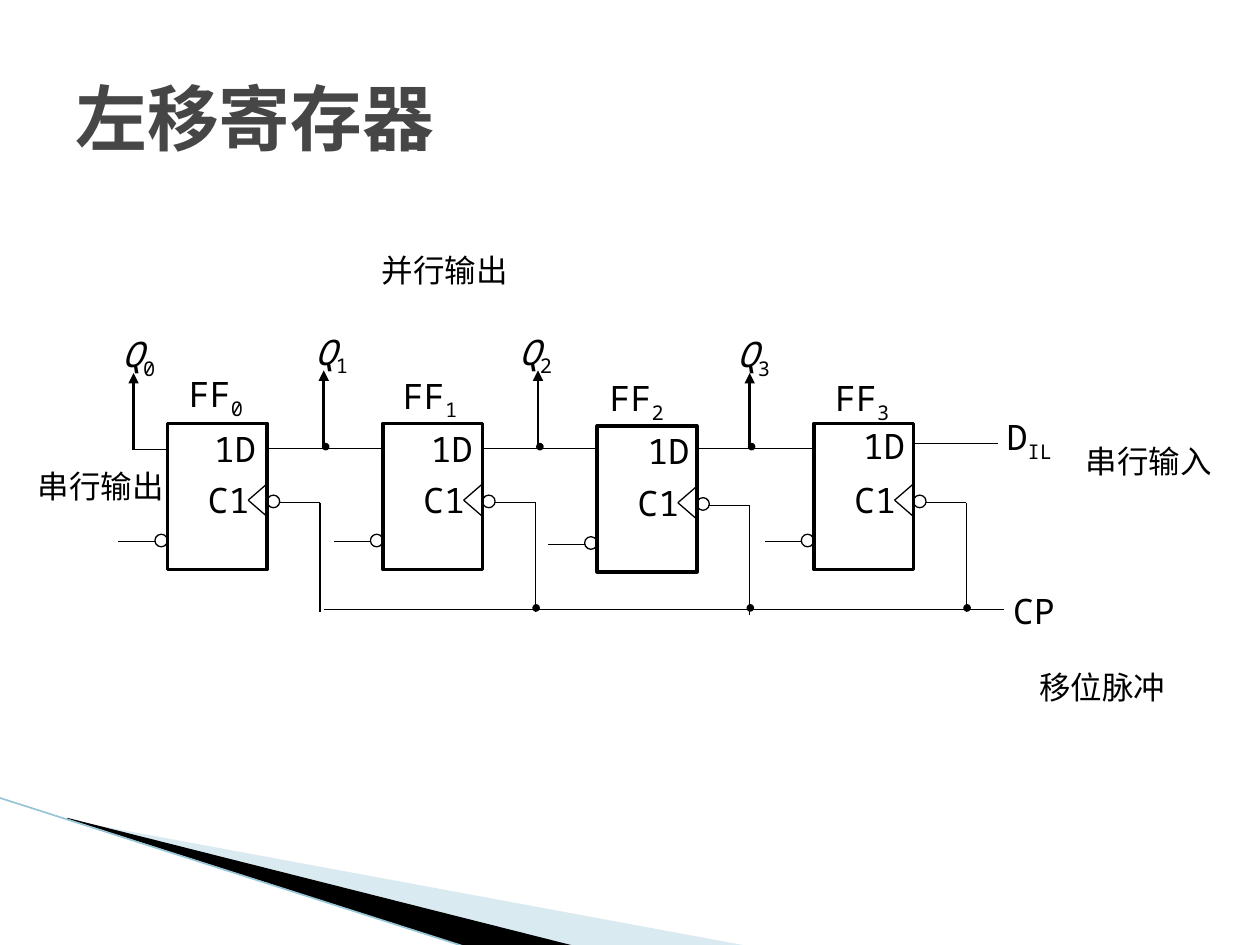
from dataclasses import dataclass

import pptx
import pptx.dml.color
import pptx.enum.shapes
import pptx.enum.text
import pptx.util
from lxml import etree
from pptx.oxml.ns import qn
from pptx.util import Inches

FONT = "Noto Sans Mono"
BLACK = "000000"
WIDE, HIGH = 0.79, 1.16  # flip-flop body
BUB = 0.1  # inverting bubble
DOT = 0.05  # wire junction
DATA, CLOCK = 3.56, 4.84  # heights of the data and clock wires

Point = tuple[float, float]
SHAPE = pptx.enum.shapes.MSO_SHAPE
ALIGN = pptx.enum.text.PP_ALIGN


@dataclass
class Run:
    text: str
    size: float = 20
    color: str = BLACK
    bold: bool = False
    slant: bool = False
    sub: bool = False


@dataclass
class Stage:
    """One flip-flop: body corner, label places, output arrow."""
    left: float
    top: float
    name: Point
    data: Point
    out: Point
    pin: float
    tip: float


STAGES = [
    Stage(1.33, 3.36, (1.40, 2.91), (1.60, 3.34), (0.87, 2.59), 1.06, 2.96),
    Stage(3.04, 3.36, (3.10, 2.92), (3.32, 3.34), (2.40, 2.57), 2.57, 2.94),
    Stage(4.74, 3.38, (4.74, 2.94), (5.04, 3.36), (4.02, 2.57), 4.27, 2.94),
    Stage(6.46, 3.36, (6.53, 2.94), (6.75, 3.32), (5.75, 2.59), 5.95, 2.96),
]
NOTES = [
    ("串行输入", 8.52, 3.46),
    ("移位脉冲", 8.15, 5.25),
    ("串行输出", 0.2, 3.66),
    ("并行输出", 2.93, 1.94),
]

deck = pptx.Presentation()
deck.slide_width, deck.slide_height = Inches(10), Inches(7.5)
slide = deck.slides.add_slide(deck.slide_layouts[6])
shapes = slide.shapes


def rgb(code: str) -> pptx.dml.color.RGBColor:
    return pptx.dml.color.RGBColor.from_string(code)


def text(at: Point, size: Point, runs: list[Run], align=ALIGN.JUSTIFY):
    box = shapes.add_textbox(*map(Inches, at + size))
    frame = box.text_frame
    frame.word_wrap = True
    para = frame.paragraphs[0]
    para.alignment = align
    for item in runs:
        run = para.add_run()
        run.text = item.text
        font = run.font
        font.name, font.size = FONT, pptx.util.Pt(item.size)
        font.bold, font.italic = item.bold, item.slant
        font.color.rgb = rgb(item.color)
        props = run._r.get_or_add_rPr()
        etree.SubElement(props, qn("a:ea"), typeface=FONT)
        if item.sub:
            props.set("baseline", "-25000")
    return frame


def line(start: Point, end: Point, width: float = 0.75,
         color: str = BLACK, arrow: bool = False) -> None:
    wire = shapes.add_connector(
        pptx.enum.shapes.MSO_CONNECTOR.STRAIGHT, *map(Inches, start + end))
    wire.line.color.rgb = rgb(color)
    wire.line.width = pptx.util.Pt(width)
    if arrow:
        etree.SubElement(wire.line._get_or_add_ln(), qn("a:tailEnd"),
                         type="triangle")
    etree.SubElement(wire._element.spPr, qn("a:effectLst"))


def shape(kind, at: Point, size: Point, width: float = 0.75,
          solid: bool = False) -> None:
    item = shapes.add_shape(kind, *map(Inches, at + size))
    item.shadow.inherit = False
    if solid:
        item.fill.solid()
        item.fill.fore_color.rgb = rgb(BLACK)
    else:
        item.fill.background()
    item.line.color.rgb = rgb(BLACK)
    item.line.width = pptx.util.Pt(width)


def dot(x: float, y: float) -> None:
    """Mark a wire junction by its top left corner."""
    shape(SHAPE.OVAL, (x, y), (DOT, DOT), solid=True)


def wedge(points: list[Point], color: str, alpha: int = 100) -> None:
    """Draw a filled corner band, with alpha in percent."""
    spots = [(Inches(x), Inches(y)) for x, y in points]
    form = shapes.build_freeform(*spots[0])
    form.add_line_segments(spots[1:], close=True)
    band = form.convert_to_shape()
    band.shadow.inherit = False
    band.fill.solid()
    band.fill.fore_color.rgb = rgb(color)
    band.line.fill.background()
    if alpha < 100:
        tint = band._element.spPr.find(qn("a:solidFill"))[0]
        etree.SubElement(tint, qn("a:alpha"), val=str(alpha * 1000))


def stage(item: Stage, index: int) -> None:
    """Draw a flip-flop with its labels, clock input and output arrow."""
    x, y, right = item.left, item.top, item.left + WIDE
    mid, drop = y + 0.63, right + 0.42
    low = y + 0.94
    shape(SHAPE.RECTANGLE, (x, y), (WIDE, HIGH), 2)
    text((x + 0.22, y + 0.39), (0.67, 0.49), [Run("C1")])
    text(item.data, (0.67, 0.47), [Run("1D")])
    text(item.name, (0.67, 0.51), [Run("FF"), Run(str(index), sub=True)])
    text(item.out, (0.67, 0.51),
         [Run("Q", slant=True), Run(str(index), sub=True)])

    tip = (right - 0.15, y + 0.61)
    line((right, y + 0.48), tip)
    line(tip, (right, y + 0.74))
    shape(SHAPE.OVAL, (right, mid - 0.06), (BUB, BUB))
    line((right + BUB, mid), (drop, mid))
    line((drop, mid), (drop, y + 1.5))
    shape(SHAPE.OVAL, (x - BUB, low - 0.06), (BUB, BUB))
    line((x - BUB, low), (x - 0.39, low))

    base = DATA - 0.02 if index else 3.57
    line((item.pin, base), (item.pin, item.tip), 1.5, arrow=True)
    if index:
        dot(item.pin - 0.01, DATA - 0.04)
        dot(drop - 0.02, CLOCK - 0.04)


wedge([(0.55, 6.51), (5.95, 7.51), (4.56, 7.51), (0.55, 6.5)], "A0CBDC", 40)
wedge([(0.53, 6.49), (4.57, 7.51), (3.72, 7.52), (0.54, 6.5)], BLACK)
line((-0.01, 6.33), (3.71, 7.52), 0.95, "97C5D8")

title = text((0.5, 0.3), (9, 1.25),
             [Run("左移寄存器", 41, "464646", bold=True)], ALIGN.LEFT)
title.vertical_anchor = pptx.enum.text.MSO_ANCHOR.MIDDLE

for index, item in enumerate(STAGES):
    stage(item, index)
for prev, item in zip(STAGES, STAGES[1:]):
    line((prev.left + WIDE, DATA), (item.left, DATA))
line((1.33, 3.57), (1.06, 3.57))
line((7.25, 3.52), (7.92, 3.52))
line((2.57, CLOCK), (7.97, CLOCK))
text((7.89, 3.25), (0.71, 0.52), [Run("D"), Run("IL", sub=True)])
text((7.94, 4.63), (0.58, 0.36), [Run("CP")])

for words, x, y in NOTES:
    frame = text((x, y), (1.21, 0.4), [Run(words, 18)], ALIGN.LEFT)
    frame.word_wrap = False
    frame.auto_size = pptx.enum.text.MSO_AUTO_SIZE.SHAPE_TO_FIT_TEXT

deck.save("out.pptx")
